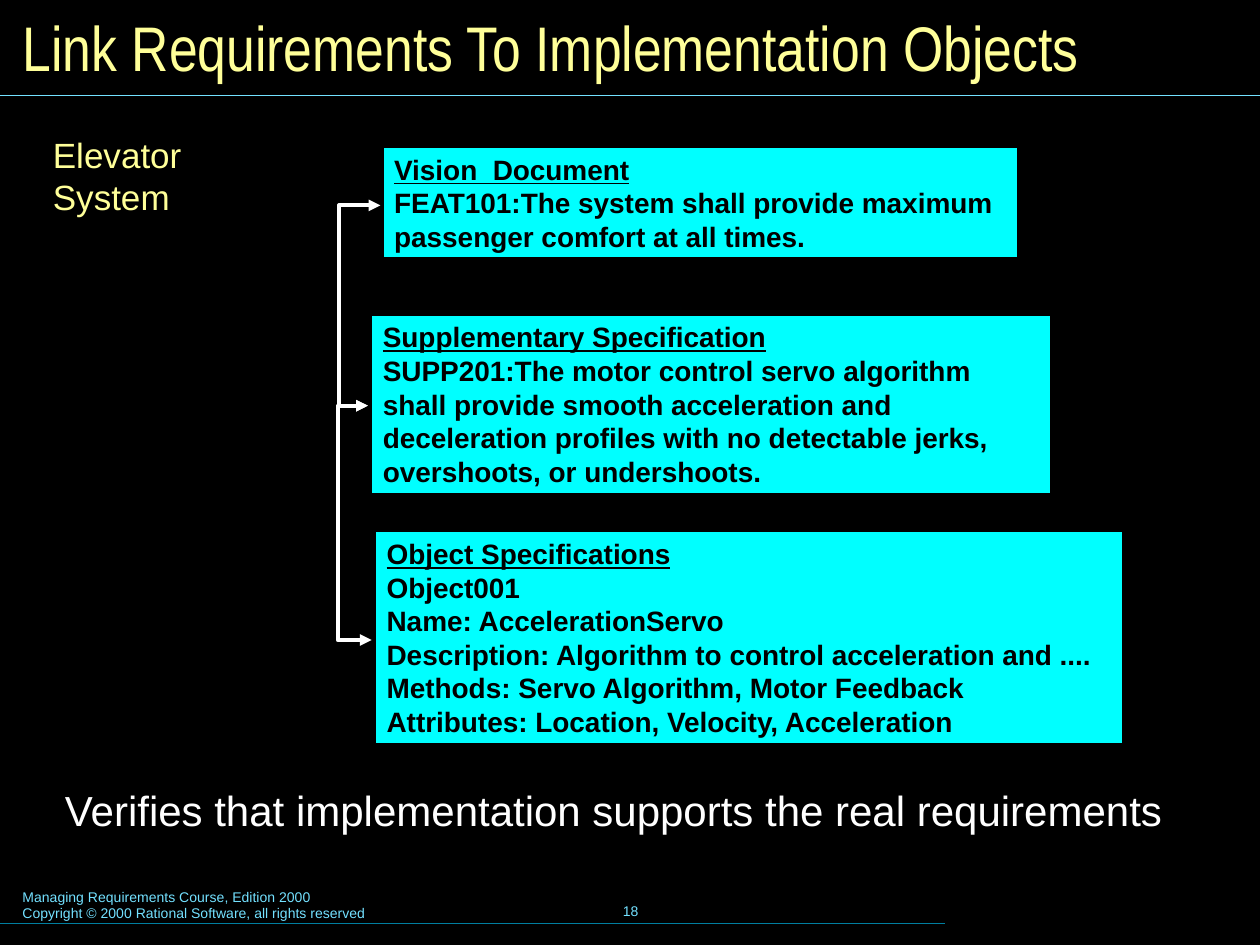
from dataclasses import dataclass

from lxml import etree
from pptx import Presentation
from pptx.dml.color import RGBColor
from pptx.enum.shapes import MSO_CONNECTOR, MSO_SHAPE
from pptx.enum.text import MSO_ANCHOR, MSO_AUTO_SIZE, PP_ALIGN
from pptx.oxml.ns import qn
from pptx.util import Inches, Pt

LEFT, CENTER = PP_ALIGN.LEFT, PP_ALIGN.CENTER
TOP, MIDDLE = MSO_ANCHOR.TOP, MSO_ANCHOR.MIDDLE
GROW, FIXED = MSO_AUTO_SIZE.SHAPE_TO_FIT_TEXT, MSO_AUTO_SIZE.NONE
STRAIGHT, ELBOW = MSO_CONNECTOR.STRAIGHT, MSO_CONNECTOR.ELBOW
RECTANGLE = MSO_SHAPE.RECTANGLE


@dataclass(frozen=True)
class Theme:
    background: str = "000000"
    heading: str = "FFFF99"
    body: str = "FFFFFF"
    card_fill: str = "00FFFF"
    card_text: str = "000000"
    footer: str = "73E1FF"
    footer_rule: str = "007E9F"
    title_font: str = "Arial Narrow"
    body_font: str = "Arial"
    title_size: float = 36
    message_size: float = 24
    system_size: float = 20
    card_size: float = 16
    footer_size: float = 8
    thin: float = 0.75
    thick: float = 2.25


def color(value):
    return RGBColor.from_string(value)


def write_text(frame, lines, *, font, size, fill, bold=False, underline_first=False,
               align=LEFT, anchor=TOP, fit=GROW, wrap=True, inset=(0.1, 0.05)):
    frame.word_wrap = wrap
    frame.auto_size = fit
    frame.vertical_anchor = anchor
    frame.margin_left = frame.margin_right = Inches(inset[0])
    frame.margin_top = frame.margin_bottom = Inches(inset[1])
    for index, line in enumerate(lines):
        para = frame.add_paragraph() if index else frame.paragraphs[0]
        para.alignment = align
        span = para.add_run()
        span.text = line
        span.font.name = font
        span.font.size = Pt(size)
        span.font.bold = bold
        span.font.underline = underline_first and index == 0
        span.font.color.rgb = color(fill)


class SlideBuilder:
    def __init__(self, deck, theme):
        self.theme = theme
        self.slide = deck.slides.add_slide(deck.slide_layouts[5])
        background = self.slide.background.fill
        background.solid()
        background.fore_color.rgb = color(theme.background)

    def title(self, text, left, top, width, height):
        box = self.slide.shapes.title
        box.left, box.top = Inches(left), Inches(top)
        box.width, box.height = Inches(width), Inches(height)
        write_text(box.text_frame, [text], font=self.theme.title_font,
                   size=self.theme.title_size, fill=self.theme.heading,
                   anchor=MIDDLE, fit=FIXED)

    def text(self, lines, left, top, width, height, **style):
        box = self.slide.shapes.add_textbox(
            Inches(left), Inches(top), Inches(width), Inches(height))
        write_text(box.text_frame, lines, font=self.theme.body_font, **style)

    def card(self, lines, left, top, width, height):
        box = self.slide.shapes.add_shape(
            RECTANGLE, Inches(left), Inches(top), Inches(width), Inches(height))
        box.shadow.inherit = False
        box.fill.solid()
        box.fill.fore_color.rgb = color(self.theme.card_fill)
        box.line.color.rgb = color(self.theme.background)
        box.line.width = Pt(self.theme.thick)
        write_text(box.text_frame, lines, font=self.theme.body_font,
                   size=self.theme.card_size, fill=self.theme.card_text,
                   bold=True, underline_first=True)

    def connector(self, kind, start, end, stroke, weight):
        link = self.slide.shapes.add_connector(
            kind, *(Inches(value) for value in (*start, *end)))
        link.line.color.rgb = color(stroke)
        link.line.width = Pt(weight)
        etree.SubElement(link._element.spPr, qn("a:effectLst"))
        return link

    def rule(self, top, width, stroke):
        self.connector(STRAIGHT, (0, top), (width, top), stroke, self.theme.thin)

    def bracket(self, start, end, spine):
        link = self.connector(ELBOW, start, end, self.theme.body, self.theme.thick)
        bend = round((spine - start[0]) / (end[0] - start[0]) * 100000)
        guides = link._element.spPr.find(qn("a:prstGeom")).find(qn("a:avLst"))
        etree.SubElement(guides, qn("a:gd"), name="adj1", fmla=f"val {bend}")
        outline = link.line._get_or_add_ln()
        for tip in ("a:headEnd", "a:tailEnd"):
            etree.SubElement(outline, qn(tip), type="triangle")


def main():
    theme = Theme()
    deck = Presentation()
    deck.slide_width, deck.slide_height = Inches(10), Inches(7.5)
    page = SlideBuilder(deck, theme)
    footer = {"size": theme.footer_size, "fill": theme.footer}

    page.text(["Managing Requirements Course, Edition 2000",
               "Copyright © 2000 Rational Software, all rights reserved"],
              0.08, 7, 5.1, 0.37, **footer)
    page.text(["18"], 3.42, 6.98, 3.17, 0.5, align=CENTER, anchor=MIDDLE,
              fit=FIXED, wrap=False, **footer)
    page.rule(7.33, 7.5, theme.footer_rule)
    page.rule(0.76, 10, theme.footer)

    page.title("Link Requirements To Implementation Objects", 0.08, 0.08, 9.84, 0.58)
    page.text(["Verifies that implementation supports the real requirements"],
              0.33, 6.18, 9.08, 0.5, size=theme.message_size, fill=theme.body,
              align=CENTER)

    page.card(["Vision  Document",
               "FEAT101:The system shall provide maximum passenger comfort at all times."],
              3.03, 1.16, 5.06, 0.9)
    page.card(["Supplementary Specification",
               "SUPP201:The motor control servo algorithm shall provide smooth "
               "acceleration and deceleration profiles with no detectable jerks, "
               "overshoots, or undershoots."],
              2.94, 2.49, 5.41, 1.44)
    page.card(["Object Specifications",
               "Object001",
               "Name: AccelerationServo",
               "Description: Algorithm to control acceleration and ....",
               "Methods: Servo Algorithm, Motor Feedback",
               "Attributes: Location, Velocity, Acceleration"],
              2.97, 4.21, 5.95, 1.7)

    vision, supplement, objects = (3.02, 1.63), (2.92, 3.22), (2.95, 5.08)
    page.bracket(vision, supplement, 2.69)
    page.bracket(supplement, objects, 2.68)

    page.text(["Elevator", "System"], 0.3, 1, 1.54, 0.79, size=theme.system_size,
              fill=theme.heading, inset=(0.12, 0.06))
    deck.save("out.pptx")


if __name__ == "__main__":
    main()
